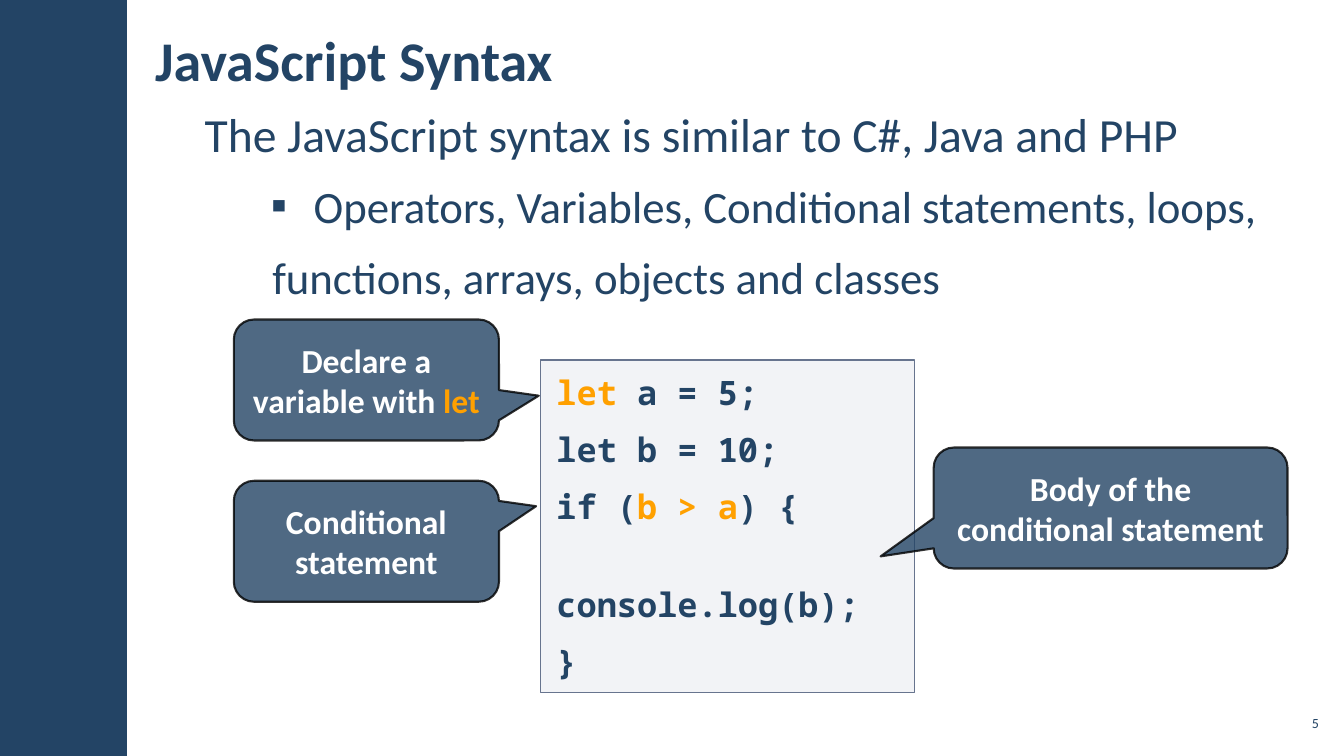
from lxml import etree
from pptx import Presentation
from pptx.dml.color import RGBColor
from pptx.enum.shapes import MSO_SHAPE
from pptx.enum.text import MSO_ANCHOR, MSO_AUTO_SIZE, PP_ALIGN
from pptx.oxml.ns import qn
from pptx.util import Inches, Pt

RECT = MSO_SHAPE.RECTANGLE
CALL = MSO_SHAPE.ROUNDED_RECTANGULAR_CALLOUT
TOP, MID = MSO_ANCHOR.TOP, MSO_ANCHOR.MIDDLE
LEFT, MIDDLE, RIGHT = PP_ALIGN.LEFT, PP_ALIGN.CENTER, PP_ALIGN.RIGHT
FIXED = MSO_AUTO_SIZE.NONE
WIDE, HIGH = Inches(13.33), Inches(7.5)
NAVY, GOLD, WHITE = "234465", "FFA000", "FFFFFF"
SANS, MONO = "Calibri", "Noto Sans Mono"


def paint(fill, tone, share=100):
    """Fill with a hex colour at a percentage of opacity."""
    fill.solid()
    fill.fore_color.rgb = RGBColor.from_string(tone)
    if share < 100:
        node = fill._xPr.find(qn("a:solidFill"))[0]
        etree.SubElement(node, qn("a:alpha"), val=str(share * 1000))


def area(*box):
    """Turn percentages of the slide into left, top, width and height."""
    return [round(part * side / 100) for part, side in zip(box, (WIDE, HIGH) * 2)]


def place(shape, *box):
    """Move a shape to an area given in percentages of the slide."""
    shape.left, shape.top, shape.width, shape.height = area(*box)


def setup(shape, anchor, side, edge):
    """Prepare a text frame with its anchor and insets in inches."""
    frame = shape.text_frame
    frame.word_wrap = True
    frame.auto_size = FIXED
    frame.vertical_anchor = anchor
    frame.margin_left = frame.margin_right = Inches(side)
    frame.margin_top = frame.margin_bottom = Inches(edge)
    return frame


def write(para, runs, size, font=SANS, bold=False, align=LEFT, before=0, after=0):
    """Add coloured runs to a paragraph and set its spacing."""
    para.alignment = align
    para.space_before, para.space_after = Pt(before), Pt(after)
    for text, tone in runs:
        run = para.add_run()
        run.text = text
        run.font.size, run.font.name, run.font.bold = Pt(size), font, bold
        paint(run.font.fill, tone)


def indent(para, left, first, mark=None):
    """Set indents in inches and an optional bullet mark."""
    props = para._p.get_or_add_pPr()
    props.set("marL", str(Inches(left)))
    props.set("indent", str(Inches(first)))
    if mark:
        tone = etree.SubElement(props, qn("a:buClr"))
        etree.SubElement(tone, qn("a:srgbClr"), val=NAVY)
        etree.SubElement(props, qn("a:buFont"), typeface=SANS)
        etree.SubElement(props, qn("a:buChar"), char=mark)
    else:
        etree.SubElement(props, qn("a:buNone"))


def block(slide, kind, box, tone, share=100):
    """Add a filled shape without shadow or line."""
    shape = slide.shapes.add_shape(kind, *area(*box))
    shape.shadow.inherit = False
    paint(shape.fill, tone, share)
    shape.line.fill.background()
    return shape


def body(shape, items):
    """Fill the body placeholder with text, size, level, indents and mark."""
    frame = setup(shape, TOP, 0.12, 0.04)
    for row, (text, size, level, left, first, mark) in enumerate(items):
        para = frame.add_paragraph() if row else frame.paragraphs[0]
        para.level = level
        write(para, [(text, NAVY)], size, before=6, after=6)
        indent(para, left, first, mark)


def code(slide, box, lines):
    """Add a code panel from lines of space before and runs."""
    panel = block(slide, RECT, box, "ADB4C3", 15)
    paint(panel.line.fill, "67748E")
    panel.line.width = Pt(1)
    frame = setup(panel, TOP, 0.16, 0.12)
    for row, (before, runs) in enumerate(lines):
        para = frame.add_paragraph() if row else frame.paragraphs[0]
        write(para, runs, 24, MONO, True, before=before, after=6)


def callout(slide, box, tip, runs):
    """Add a speech callout whose tip is given as shares of its size."""
    shape = block(slide, CALL, box, NAVY, 80)
    paint(shape.line.fill, "000000", 80)
    shape.line.width = Pt(1.5)
    shape.adjustments[0], shape.adjustments[1] = tip
    frame = setup(shape, MID, 0.1, 0.05)
    write(frame.paragraphs[0], runs, 24, bold=True, align=MIDDLE)


def main():
    """Build the slide and save it."""
    deck = Presentation()
    deck.slide_width, deck.slide_height = WIDE, HIGH
    slide = deck.slides.add_slide(deck.slide_layouts[1])
    block(slide, RECT, (0, 0, 9.45, 100), NAVY)

    title, main_text = slide.placeholders
    place(title, 10.65, 1.47, 68.93, 12.8)
    head = setup(title, MID, 0.12, 0.04)
    write(head.paragraphs[0], [("JavaScript Syntax", NAVY)], 40, bold=True)

    place(main_text, 14.33, 13.33, 82.28, 76.93)
    body(main_text, [
        ("The JavaScript syntax is similar to C#, Java and PHP", 34, 0, 0, 0, None),
        ("Operators, Variables, Conditional statements, loops,", 32, 1, 1.08, -0.42, "▪"),
        ("functions, arrays, objects and classes", 32, 0, 0.67, 0, None),
    ])

    page = slide.shapes.add_textbox(*area(94.9, 93.33, 3.53, 4.53))
    foot = setup(page, MID, 0.04, 0.04)
    write(foot.paragraphs[0], [("5", NAVY)], 10, align=RIGHT)

    code(slide, (40.2, 47.6, 27.83, 44), [
        (6, [("let", GOLD), (" a = 5;", NAVY)]),
        (6, [("let b = 10;", NAVY)]),
        (6, [("if (", NAVY), ("b > a", GOLD), (") {", NAVY)]),
        (35, [("console.log(b);", NAVY)]),
        (6, [("}", NAVY)]),
    ])

    notes = [
        (17.4, 42.27, 19.73, (0.65, 0.13),
         [("Declare a variable with ", WHITE), ("let", GOLD)]),
        (17.4, 63.6, 19.73, (0.64, -0.29), [("Conditional statement", WHITE)]),
        (69.47, 59.2, 26.33, (-0.65, 0.4),
         [("Body of the conditional statement", WHITE)]),
    ]
    for left, top, width, tip, runs in notes:
        callout(slide, (left, top, width, 16), tip, runs)

    deck.save("out.pptx")


if __name__ == "__main__":
    main()
